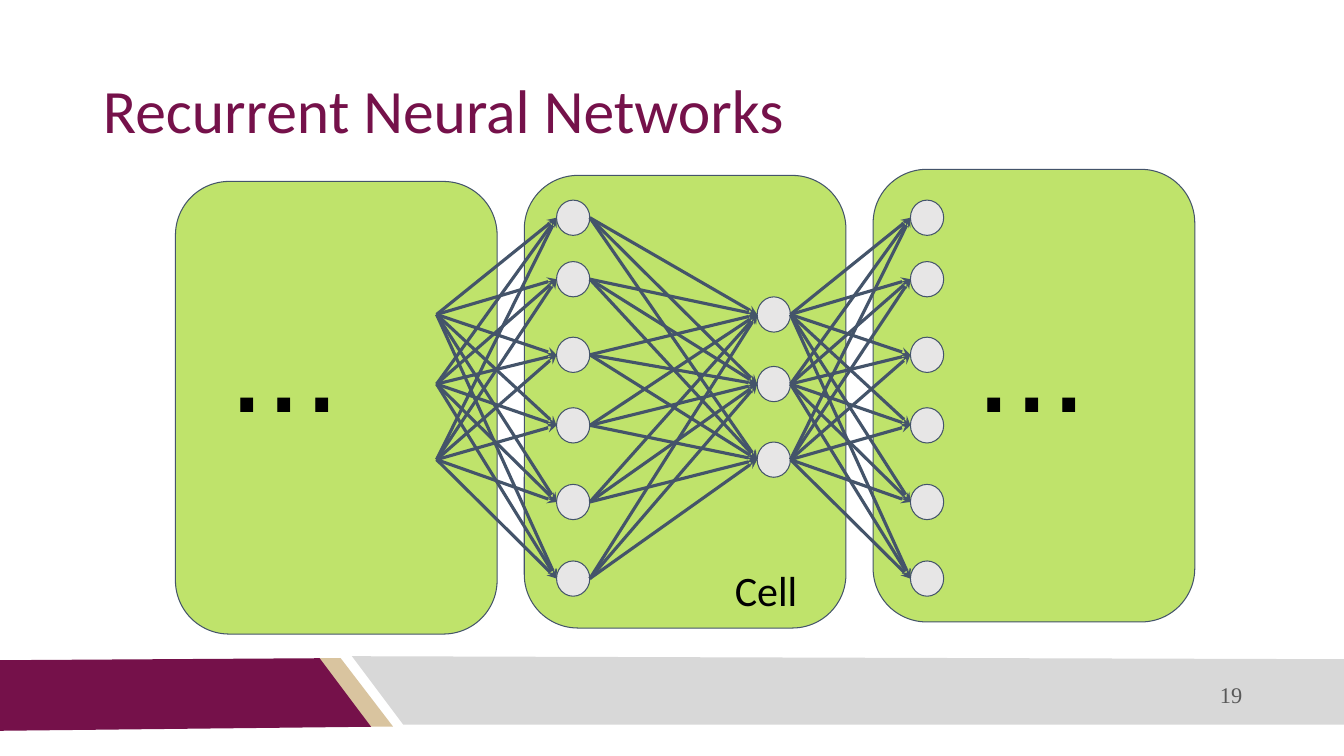
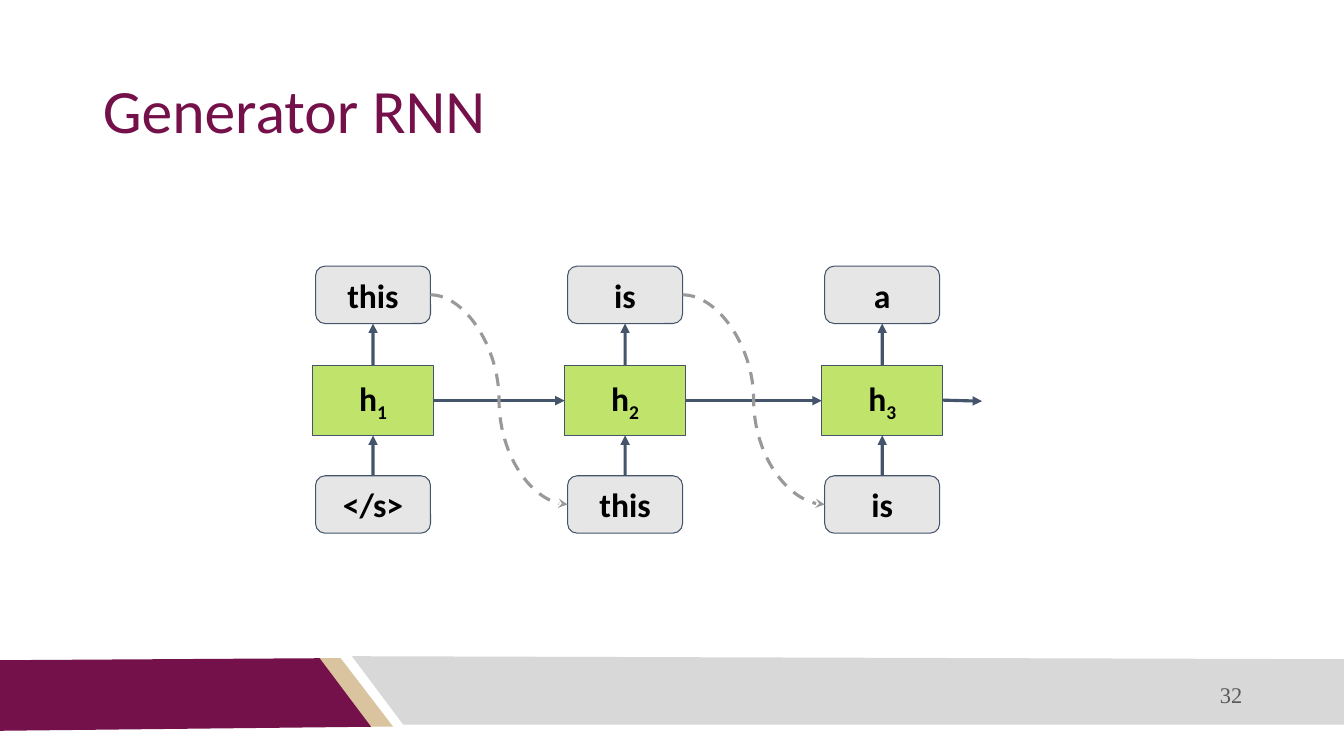
"""Build two slides on recurrent neural networks."""
import itertools

import pptx
import pptx.dml.color
import pptx.enum.shapes
import pptx.enum.text
import pptx.oxml.ns
import pptx.util
from lxml import etree

Inches = pptx.util.Inches
Pt = pptx.util.Pt
RGBColor = pptx.dml.color.RGBColor
SHAPE = pptx.enum.shapes.MSO_SHAPE
CONNECTOR = pptx.enum.shapes.MSO_CONNECTOR
DASH = pptx.enum.dml.MSO_LINE
ALIGN = pptx.enum.text.PP_ALIGN
ANCHOR = pptx.enum.text.MSO_ANCHOR
qn = pptx.oxml.ns.qn

MAROON = RGBColor(0x75, 0x11, 0x4A)
TAN = RGBColor(0xD9, 0xC4, 0x9F)
BAND_GRAY = RGBColor(0xD8, 0xD8, 0xD8)
NUMBER_GRAY = RGBColor(0x59, 0x59, 0x59)
GREEN = RGBColor(0xB0, 0xDD, 0x46)
LIGHT_GRAY = RGBColor(0xE7, 0xE6, 0xE6)
SLATE = RGBColor(0x44, 0x54, 0x6A)
FEEDBACK_GRAY = RGBColor(0x99, 0x99, 0x99)
BLACK = RGBColor(0, 0, 0)

BANDS = [
    (TAN, [(3.16, 6.53), (3.38, 6.53), (3.9, 7.21), (3.67, 7.21)]),
    (MAROON, [(-0.01, 6.55), (3.17, 6.53), (3.68, 7.21), (-0.01, 7.25)]),
    (BAND_GRAY, [(13.37, 7.19), (4, 7.19), (3.49, 6.51), (13.34, 6.54)]),
]
TOP, LEFT, BOTTOM, RIGHT = range(4)


def place(sp, left, top, width, height):
    sp.left, sp.top = Inches(left), Inches(top)
    sp.width, sp.height = Inches(width), Inches(height)


def frame(sp, anchor):
    tf = sp.text_frame
    tf.word_wrap = True
    tf.auto_size = pptx.enum.text.MSO_AUTO_SIZE.NONE
    tf.vertical_anchor = anchor
    tf.margin_left = tf.margin_right = Inches(0.1)
    tf.margin_top = tf.margin_bottom = Inches(0.1)
    return tf.paragraphs[0]


def add_run(p, text, size, color, font="Calibri", bold=False):
    r = p.add_run()
    r.text = text
    r.font.size = Pt(size)
    r.font.name = font
    r.font.bold = bold
    r.font.color.rgb = color
    return r


def add_text(slide, text, box, size, color=BLACK, font="Calibri",
             align=ALIGN.LEFT, anchor=ANCHOR.TOP):
    sp = slide.shapes.add_textbox(*map(Inches, box))
    p = frame(sp, anchor)
    p.alignment = align
    add_run(p, text, size, color, font)


def add_shape(slide, kind, box, fill, opacity=100):
    sp = slide.shapes.add_shape(kind, *map(Inches, box))
    sp.shadow.inherit = False
    sp.fill.solid()
    sp.fill.fore_color.rgb = fill
    sp.line.color.rgb = SLATE
    sp.line.width = Pt(0.75)
    if opacity < 100:
        color = sp.fill._xPr.find(qn("a:solidFill"))[0]
        etree.SubElement(color, qn("a:alpha"), val=str(opacity * 1000))
    return sp


def add_label(sp, text, subscript=""):
    p = frame(sp, ANCHOR.MIDDLE)
    p.alignment = ALIGN.CENTER
    add_run(p, text, 24, BLACK, bold=True)
    if subscript:
        r = add_run(p, subscript, 24, BLACK, bold=True)
        r._r.get_or_add_rPr().set("baseline", "-25000")


def add_arrow(slide, start, end, head, color=SLATE, kind=CONNECTOR.STRAIGHT, dash=None):
    cxn = slide.shapes.add_connector(kind, *map(Inches, (*start, *end)))
    cxn.line.color.rgb = color
    cxn.line.width = Pt(2.25)
    if dash:
        cxn.line.dash_style = dash
    etree.SubElement(cxn.line._get_or_add_ln(), qn("a:tailEnd"), type=head)
    etree.SubElement(cxn._element.spPr, qn("a:effectLst"))
    return cxn


def link(slide, source, source_site, target, target_site, head="triangle", **style):
    cxn = add_arrow(slide, (0, 0), (1, 1), head, **style)
    cxn.begin_connect(source, source_site)
    cxn.end_connect(target, target_site)


def add_fan(slide, left, sources, right, targets):
    for y1, y2 in itertools.product(sources, targets):
        add_arrow(slide, (left, y1), (right, y2), "stealth")


def add_bands(layout, slide):
    """Draw the footer bands on a slide and move them to its layout."""
    for i, (color, points) in enumerate(BANDS):
        corners = [(Inches(x), Inches(y)) for x, y in points]
        builder = slide.shapes.build_freeform(*corners[0], scale=1.0)
        builder.add_line_segments(corners[1:], close=True)
        sp = builder.convert_to_shape()
        sp.name = f"Footer band {i + 1}"
        sp.shadow.inherit = False
        sp.fill.solid()
        sp.fill.fore_color.rgb = color
        sp.line.fill.background()
        sp._element.nvSpPr.cNvPr.set("id", str(20 + i))
        layout.shapes.element.insert(2 + i, sp._element)


def add_slide(prs, layout, title, number):
    slide = prs.slides.add_slide(layout)
    sp = slide.shapes.title
    place(sp, 0.92, 0.4, 11.5, 1.45)
    p = frame(sp, ANCHOR.MIDDLE)
    p.alignment = ALIGN.LEFT
    p.line_spacing = 0.9
    add_run(p, title, 44, MAROON)
    add_text(slide, number, (7.92, 6.69, 4.5, 0.4), 16, NUMBER_GRAY,
             "Times New Roman", ALIGN.RIGHT, ANCHOR.MIDDLE)
    return slide


def draw_network(slide):
    width, height = 0.33, 0.35
    outer = [2.16, 2.77, 3.52, 4.22, 4.98, 5.74]
    hidden = [3.12, 3.81, 4.56]
    previous_right, input_left, hidden_left, next_left = 4.33, 5.52, 7.51, 9.03

    for left, top in [(1.74, 1.8), (5.2, 1.74), (8.66, 1.68)]:
        add_shape(slide, SHAPE.ROUNDED_RECTANGLE, (left, top, 3.19, 4.49), GREEN, 80)
    for left, centers in [(input_left, outer), (hidden_left, hidden), (next_left, outer)]:
        for y in centers:
            add_shape(slide, SHAPE.OVAL, (left, y - height / 2, width, height), LIGHT_GRAY)

    add_fan(slide, input_left + width, outer, hidden_left, hidden)
    add_fan(slide, hidden_left + width, hidden, next_left, outer)
    add_fan(slide, previous_right, hidden, input_left, outer)

    for left in (2.17, 9.58):
        add_text(slide, "...", (left, 2.66, 1.96, 2.17), 96, font="Arial")
    add_text(slide, "Cell", (7.19, 5.5, 0.84, 0.66), 30)


def draw_generator(slide):
    steps = [(3.1, "</s>", "this"), (5.6, "this", "is"), (8.15, "is", "a")]
    previous = None
    for i, (left, word_in, word_out) in enumerate(steps, 1):
        state = add_shape(slide, SHAPE.RECTANGLE, (left, 3.63, 1.2, 0.69), GREEN, 80)
        add_label(state, "h", str(i))
        tokens = []
        for top, word in [(4.72, word_in), (2.64, word_out)]:
            token = add_shape(slide, SHAPE.ROUNDED_RECTANGLE,
                              (left + 0.03, top, 1.14, 0.57), LIGHT_GRAY)
            add_label(token, word)
            tokens.append(token)
        source, output = tokens
        link(slide, source, TOP, state, BOTTOM)
        link(slide, state, TOP, output, BOTTOM)
        if previous:
            last_state, last_output = previous
            link(slide, last_state, RIGHT, state, LEFT)
            link(slide, last_output, RIGHT, source, LEFT, "stealth",
                 color=FEEDBACK_GRAY, kind=CONNECTOR.CURVE, dash=DASH.DASH)
        previous = state, output
    add_arrow(slide, (9.35, 3.97), (9.74, 3.98), "triangle")


def main():
    prs = pptx.Presentation()
    prs.slide_width, prs.slide_height = Inches(13.33), Inches(7.5)
    layout = prs.slide_layouts[5]

    slide = add_slide(prs, layout, "Recurrent Neural Networks", "19")
    add_bands(layout, slide)
    draw_network(slide)
    draw_generator(add_slide(prs, layout, "Generator RNN", "32"))
    prs.save("out.pptx")


if __name__ == "__main__":
    main()
